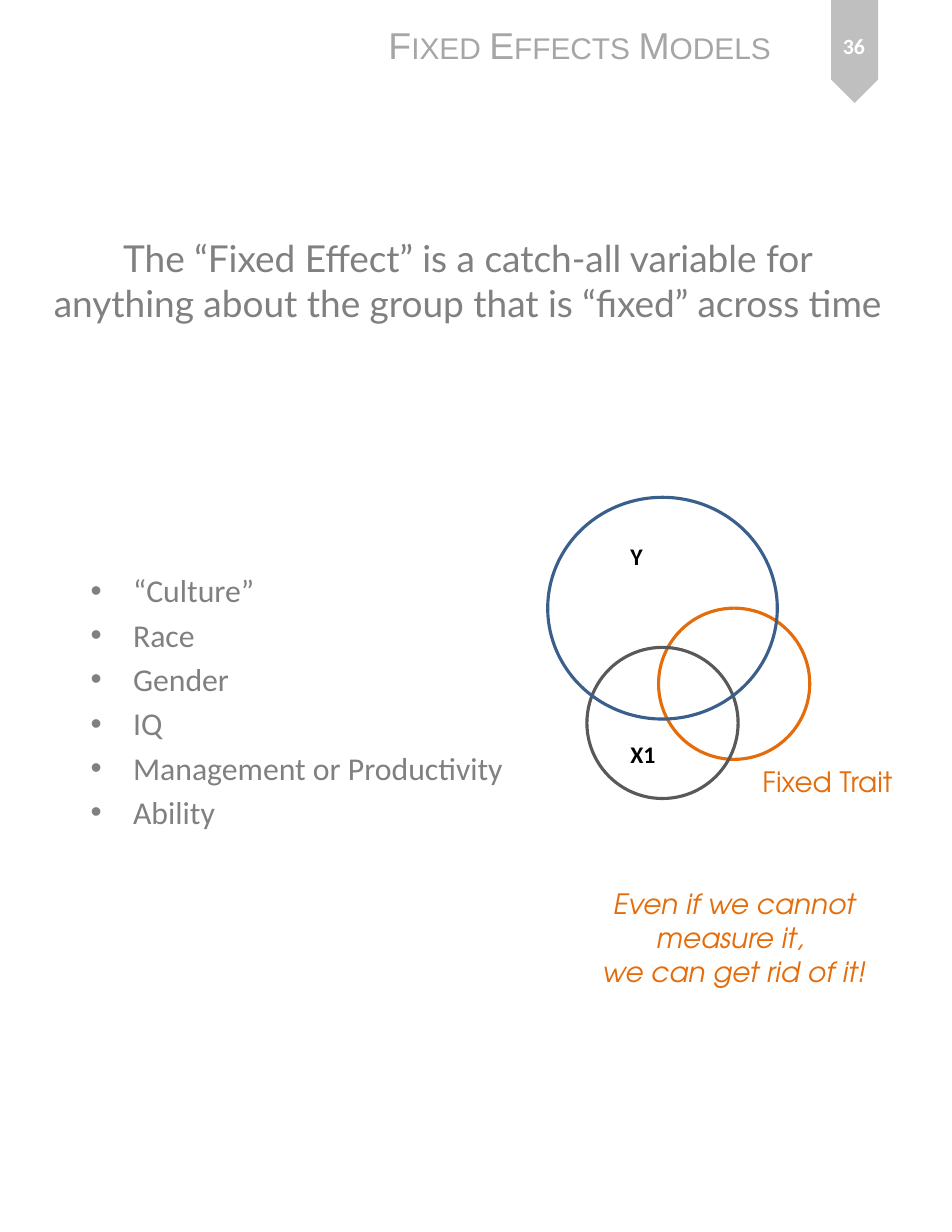
from lxml import etree
from pptx import Presentation
from pptx import util as u
from pptx.dml.color import RGBColor
from pptx.enum import shapes, text
from pptx.oxml.ns import qn

deck = Presentation()
deck.slide_width, deck.slide_height = u.Inches(8.5), u.Inches(11)
page = deck.slides.add_slide(deck.slide_layouts[5])

# Grid of 85 columns by 110 rows
COL, ROW = deck.slide_width / 85, deck.slide_height / 110
GREY, ORANGE = "808080", "E46C0A"
CENTER = text.PP_ALIGN.CENTER


def grid(left, top, width, height):
    return [round(n * unit) for n, unit in zip((left, top, width, height), (COL, ROW) * 2)]


def write(box, lines, size, face, color, align=None, wrap=False, middle=False, **style):
    frame = box.text_frame
    frame.auto_size = text.MSO_AUTO_SIZE.NONE
    frame.word_wrap = wrap
    frame.vertical_anchor = text.MSO_ANCHOR.MIDDLE if middle else text.MSO_ANCHOR.TOP
    for number, line in enumerate(lines):
        para = frame.add_paragraph() if number else frame.paragraphs[0]
        para.alignment = align
        for part_number, part in enumerate(line.split("\n")):
            if part_number:
                para.add_line_break()
            span = para.add_run()
            span.text = part
            font = span.font
            font.size, font.name = u.Pt(size), face
            font.color.rgb = RGBColor.from_string(color)
            for key, value in style.items():
                setattr(font, key, value)
    return frame


# Page ribbon, pointing down from the top edge
ribbon = page.shapes.add_shape(shapes.MSO_SHAPE.PENTAGON, *grid(71.7, 2.5, 9.2, 4.2))
ribbon.rotation = 90
ribbon.shadow.inherit = False
ribbon.fill.solid()
ribbon.fill.fore_color.rgb = RGBColor.from_string("BFBFBF")
ribbon.line.fill.background()

# Running header in small capitals
header = page.shapes.add_textbox(*grid(33.7, 1.5, 36.8, 5))
frame = write(header, ["Fixed Effects Models"], 24, "Arial", "A6A6A6")
for span in frame.paragraphs[0].runs:
    span.font._element.set("cap", "small")

# Title
title = page.shapes.title
title.left, title.top, title.width, title.height = grid(3.5, 19.7, 76.5, 10.6)
write(title, ["The “Fixed Effect” is a catch-all variable for anything about "
              "the group that is “fixed” across time"],
      23.8, "Lato", GREY, CENTER, wrap=True, middle=True)

# Bulleted examples
examples = page.shapes.add_textbox(*grid(7.1, 50.5, 76.5, 42.1))
frame = write(examples, ["“Culture”", "Race", "Gender", "IQ",
                         "Management or Productivity", "Ability"],
              20.4, "Calibri", GREY, wrap=True)
for number, para in enumerate(frame.paragraphs):
    props = para._p.get_or_add_pPr()
    props.set("marL", str(u.Inches(0.38)))
    props.set("indent", str(-u.Inches(0.38)))
    etree.SubElement(props, qn("a:buFont")).set("typeface", "Arial")
    etree.SubElement(props, qn("a:buChar")).set("char", "•")
    if number:
        para.space_before = u.Pt(4)

# Venn diagram
for place, color in (((58.8, 54.3, 13.5, 13.5), ORANGE),
                     ((52.4, 57.8, 13.5, 13.5), "595959"),
                     ((48.9, 44.4, 20.5, 19.8), "3A5F8C")):
    circle = page.shapes.add_shape(shapes.MSO_SHAPE.OVAL, *grid(*place))
    circle.shadow.inherit = False
    circle.fill.background()
    circle.line.color.rgb = RGBColor.from_string(color)
    circle.line.width = u.Pt(2)

for name, place in (("Y", (55.3, 47.9, 3.1, 3.6)), ("X1", (55.3, 65.6, 4.3, 3.6))):
    label = page.shapes.add_textbox(*grid(*place))
    write(label, [name], 15.3, "Calibri", "000000", bold=True)

trait = page.shapes.add_textbox(*grid(67.1, 67.8, 14, 4))
write(trait, ["Fixed Trait"], 18, "TeX Gyre Adventor", ORANGE)

# Remark below the diagram
remark = page.shapes.add_textbox(*grid(52.6, 78.7, 25.9, 10.1))
write(remark, ["Even if we cannot\nmeasure it, ", "we can get rid of it!"],
      18, "TeX Gyre Adventor", ORANGE, CENTER, italic=True)

# Page number on the ribbon
number_box = page.shapes.add_textbox(*grid(72.9, 1.1, 6.7, 5.9))
write(number_box, ["36"], 14, "Calibri", "FFFFFF", CENTER, wrap=True, middle=True, bold=True)

deck.save("out.pptx")
